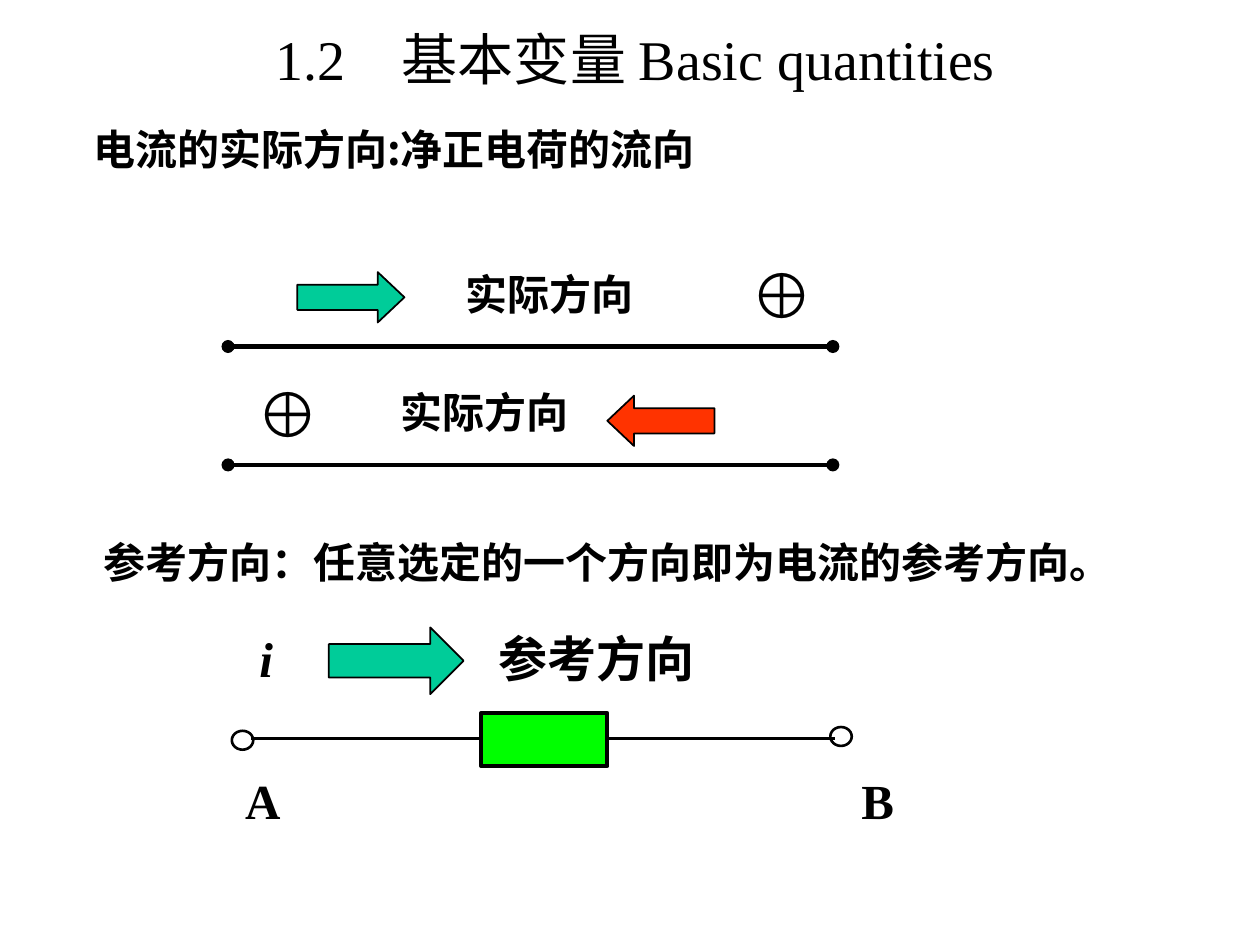
import pptx
import pptx.util
import pptx.dml.color
import pptx.enum.shapes
import pptx.enum.text
import pptx.oxml.ns
from lxml import etree

Inches, Pt = pptx.util.Inches, pptx.util.Pt
RGBColor = pptx.dml.color.RGBColor
Shape = pptx.enum.shapes.MSO_SHAPE
Align = pptx.enum.text.PP_ALIGN
Anchor = pptx.enum.text.MSO_ANCHOR
qn = pptx.oxml.ns.qn

BLACK = RGBColor(0, 0, 0)
TEAL = RGBColor(0x00, 0xCC, 0x99)
RED = RGBColor(0xFF, 0x33, 0x00)
GREEN = RGBColor(0x00, 0xFF, 0x00)
LATIN, CJK = "Times New Roman", "Noto Sans CJK SC"

# Content: places are left, top, width, height in inches
TITLE = ("1.2　基本变量 Basic quantities", (0.42, 0.21, 9.25, 0.5))
ACTUAL = ("电流的实际方向:净正电荷的流向", (0.64, 0.93, 5.55, 0.5))
REFERENCE = ("参考方向：任意选定的一个方向即为电流的参考方向。", (0.7, 4.21, 8.24, 0.5))
CURRENT = (["i", "\t参考方向"], (1.96, 4.94, 3.7, 0.57))
CURRENT_TAB = 1.9

LABELS = [  # text, place, size, bold
    ("⊕", (5.86, 2.05, 0.47, 0.56), 36, False),
    ("实际方向", (3.36, 2.13, 2, 0.4), 24, True),
    ("实际方向", (3.08, 3.07, 1.53, 0.4), 24, True),
    ("⊕", (1.94, 2.96, 0.62, 0.62), 36, False),
    ("A", (1.69, 6.06, 0.79, 0.57), 28, True),
    ("B", (6.57, 6.06, 0.79, 0.57), 28, True),
]
WIRES = [  # left, right, height on slide, width, dotted ends
    (1.81, 6.61, 2.75, 2.5, True),
    (1.81, 6.61, 3.69, 2.5, True),
    (1.99, 6.63, 5.86, 1.5, False),
]
ARROWS = [  # preset, place, fill, head length
    (Shape.RIGHT_ARROW, (2.36, 2.16, 0.85, 0.4), TEAL, 0.53),
    (Shape.LEFT_ARROW, (4.82, 3.14, 0.85, 0.4), RED, 0.53),
    (Shape.RIGHT_ARROW, (2.61, 4.98, 1.07, 0.53), TEAL, 0.5),
]
RESISTOR = (3.82, 5.66, 1, 0.42)
TERMINALS = [(1.84, 5.8, 0.17, 0.15), (6.59, 5.77, 0.17, 0.15)]


def inches(place):
    return [Inches(value) for value in place]


def style_span(span, size, bold, latin=LATIN):
    font = span.font
    font.name, font.size, font.bold = latin, Pt(size), bold
    font.color.rgb = BLACK
    east_asian = etree.Element(qn("a:ea"), typeface=CJK)
    font._element.find(qn("a:latin")).addnext(east_asian)


def add_text(page, spans, place, size, bold=True, align=Align.CENTER,
             anchor=Anchor.MIDDLE, wrap=True, latin=LATIN):
    box = page.shapes.add_textbox(*inches(place))
    frame = box.text_frame
    frame.word_wrap, frame.vertical_anchor = wrap, anchor
    para = frame.paragraphs[0]
    para.alignment = align
    for text in spans:
        span = para.add_run()
        span.text = text
        style_span(span, size, bold, latin)
    return para


def add_figure(page, preset, place, fill, width):
    figure = page.shapes.add_shape(preset, *inches(place))
    figure.shadow.inherit = False
    if fill is None:
        figure.fill.background()
    else:
        figure.fill.solid()
        figure.fill.fore_color.rgb = fill
    figure.line.color.rgb = BLACK
    figure.line.width = Pt(width)
    return figure


def add_wire(page, left, right, level, width, dotted):
    wire = page.shapes.add_connector(
        pptx.enum.shapes.MSO_CONNECTOR.STRAIGHT,
        *inches((left, level, right, level)))
    wire.line.color.rgb = BLACK
    wire.line.width = Pt(width)
    if dotted:
        outline = wire.line._get_or_add_ln()
        for end in ("a:headEnd", "a:tailEnd"):
            etree.SubElement(outline, qn(end), type="oval")
    etree.SubElement(wire._element.spPr, qn("a:effectLst"))


def main():
    deck = pptx.Presentation()
    deck.slide_width, deck.slide_height = Inches(10), Inches(7.5)
    page = deck.slides.add_slide(deck.slide_layouts[5])

    # Title
    text, place = TITLE
    title = page.shapes.title
    title.left, title.top, title.width, title.height = inches(place)
    frame = title.text_frame
    frame.text = text
    frame.auto_size = pptx.enum.text.MSO_AUTO_SIZE.NONE
    frame.vertical_anchor = Anchor.MIDDLE
    frame.paragraphs[0].alignment = Align.CENTER
    style_span(frame.paragraphs[0].runs[0], 32, False)

    # Definitions
    text, place = ACTUAL
    add_text(page, [text], place, 24, align=Align.LEFT, anchor=Anchor.TOP, latin=CJK)
    text, place = REFERENCE
    add_text(page, [text], place, 24, wrap=False)

    # Wires, arrows and the circuit element
    for wire in WIRES:
        add_wire(page, *wire)
    for preset, place, fill, head in ARROWS:
        arrow = add_figure(page, preset, place, fill, 1)
        arrow.adjustments[0], arrow.adjustments[1] = 0.5, head
    add_figure(page, Shape.RECTANGLE, RESISTOR, GREEN, 2.5)
    for place in TERMINALS:
        add_figure(page, Shape.OVAL, place, None, 1.5)

    # Labels
    for text, place, size, bold in LABELS:
        add_text(page, [text], place, size, bold, wrap=len(text) > 1)

    # Current symbol and its direction, parted by a tab stop
    spans, place = CURRENT
    para = add_text(page, spans, place, 28, align=Align.LEFT)
    para.runs[0].font.italic = True
    stops = etree.SubElement(para._p.get_or_add_pPr(), qn("a:tabLst"))
    etree.SubElement(stops, qn("a:tab"), pos=str(Inches(CURRENT_TAB)), algn="l")

    deck.save("out.pptx")


if __name__ == "__main__":
    main()
